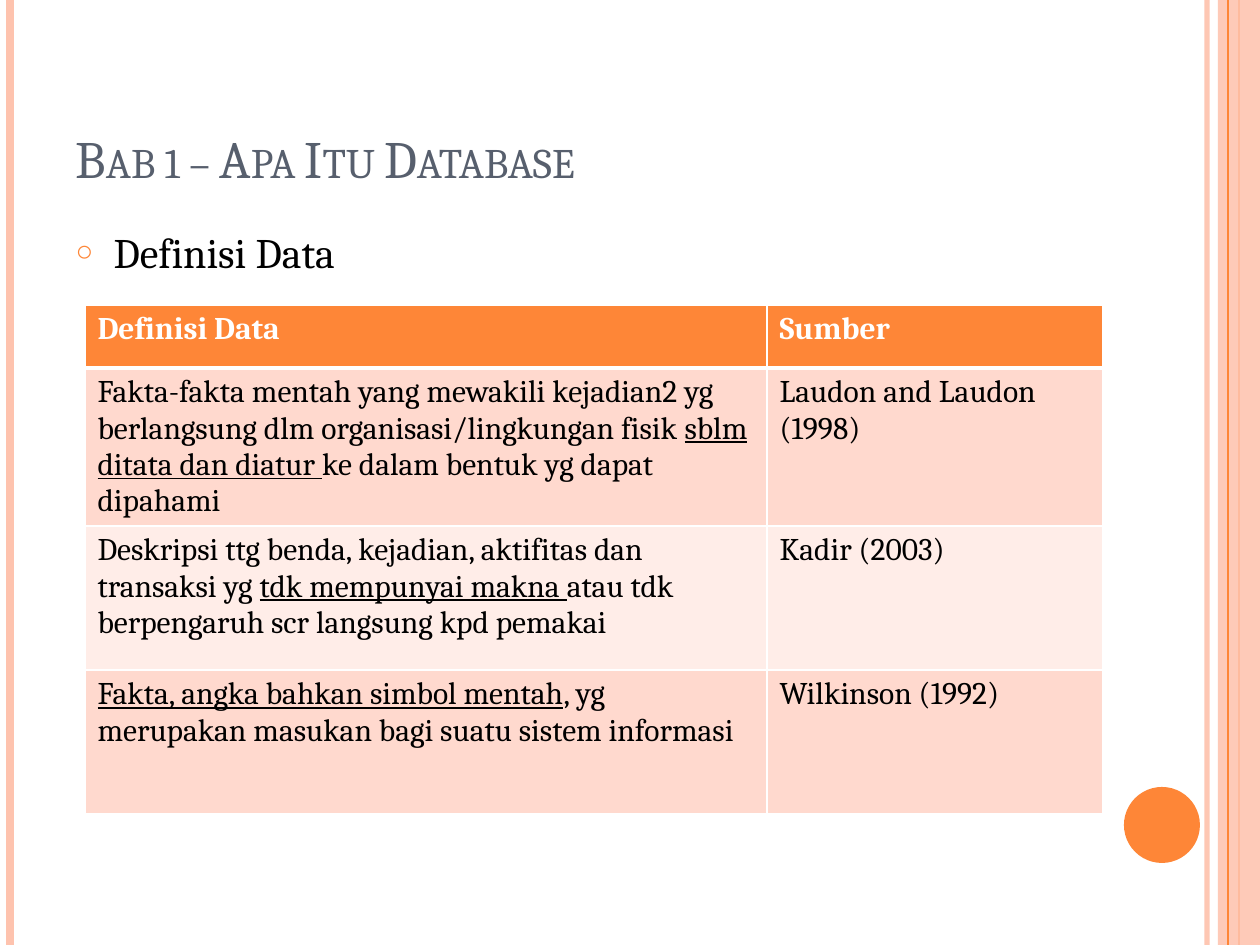
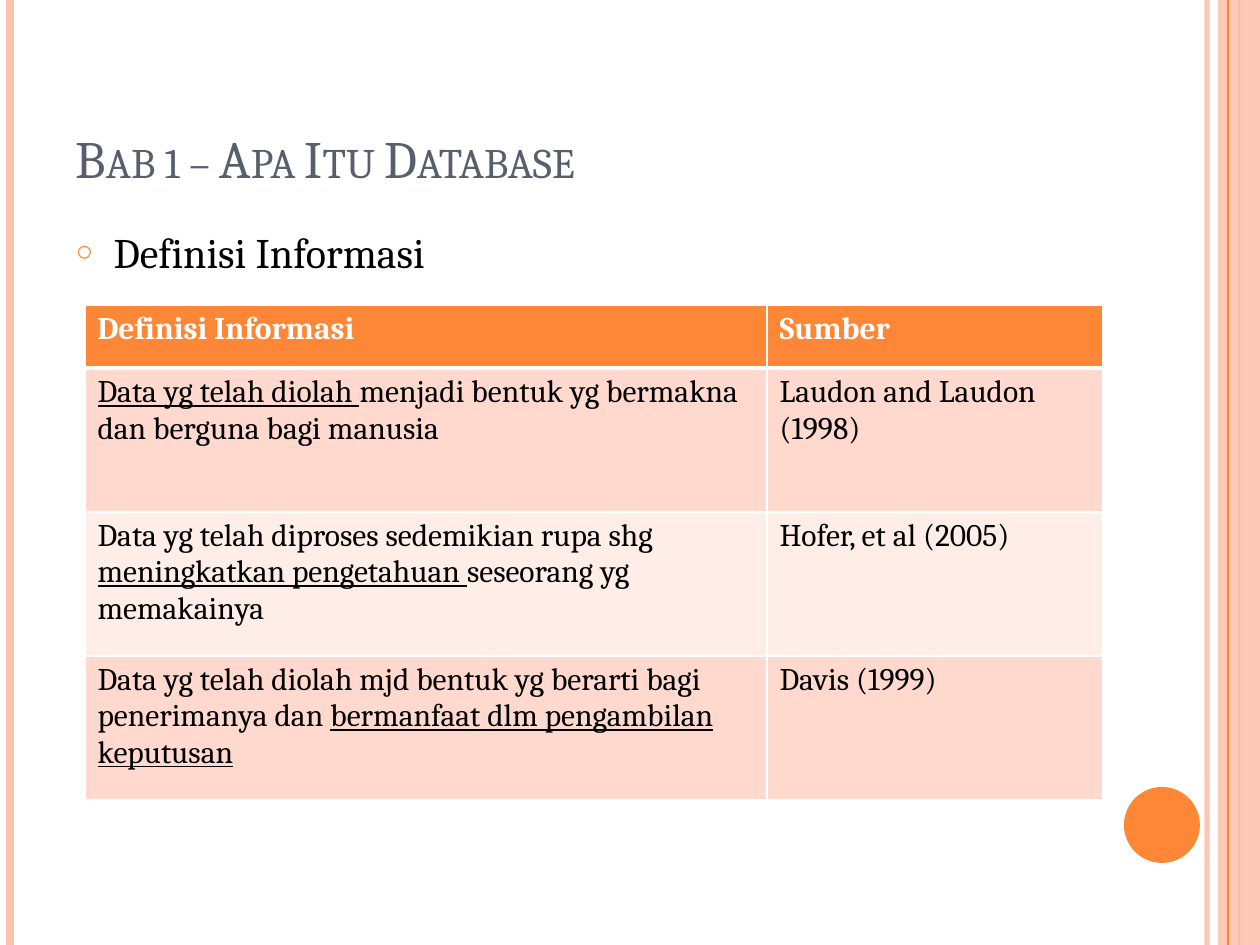
"""Build two slides that define data and information, each with a table of sources."""
from dataclasses import dataclass

from lxml import etree
from pptx import Presentation
from pptx import util as u
from pptx.dml.color import RGBColor
from pptx.enum import shapes, text
from pptx.oxml.ns import qn

SCALE = u.Inches(1) / 126
WIDTH, HEIGHT = 1260, 945
FONT = "Cambria"
TITLE = "Bab 1 – Apa Itu Database"
COLORS = {
    "orange": "FE8637",
    "peach": "FEC3AE",
    "slate": "575F6D",
    "black": "000000",
    "white": "FFFFFF",
    "band_dark": "FFD9CE",
    "band_light": "FFEDE8",
}
TABLE_LEFT, TABLE_TOP = 85, 305
COL_WIDTHS = (682, 336)
ROW_HEIGHTS = (63, 144, 144, 144)


@dataclass(frozen=True)
class Stripe:
    x: int
    weight: float
    color: str
    alpha: int = 100


@dataclass(frozen=True)
class Panel:
    kind: shapes.MSO_SHAPE
    box: tuple[int, int, int, int]
    color: str
    alpha: int = 100


@dataclass(frozen=True)
class Definition:
    meaning: str
    source: str


@dataclass(frozen=True)
class Topic:
    heading: str
    definitions: tuple[Definition, ...]


DECOR = (
    Stripe(1207, 3, "peach", 93),
    Stripe(10, 4.5, "peach"),
    Stripe(1239, 1.5, "orange"),
    Panel(shapes.MSO_SHAPE.RECTANGLE, (1218, 0, 42, HEIGHT), "peach", 87),
    Stripe(1228, 0.75, "orange"),
    Panel(shapes.MSO_SHAPE.OVAL, (1124, 787, 76, 76), "orange"),
)

TOPICS = (
    Topic("Definisi Data", (
        Definition("Fakta-fakta mentah yang mewakili kejadian2 yg berlangsung dlm "
                   "organisasi/lingkungan fisik _sblm ditata dan diatur _"
                   "ke dalam bentuk yg dapat dipahami", "Laudon and Laudon (1998)"),
        Definition("Deskripsi ttg benda, kejadian, aktifitas dan transaksi yg "
                   "_tdk mempunyai makna _atau tdk berpengaruh scr langsung kpd pemakai",
                   "Kadir (2003)"),
        Definition("_Fakta, angka bahkan simbol mentah_, yg merupakan masukan bagi "
                   "suatu sistem informasi", "Wilkinson (1992)"),
    )),
    Topic("Definisi Informasi", (
        Definition("_Data yg telah diolah _menjadi bentuk yg bermakna dan berguna "
                   "bagi manusia", "Laudon and Laudon (1998)"),
        Definition("Data yg telah diproses sedemikian rupa shg _meningkatkan "
                   "pengetahuan _seseorang yg memakainya", "Hofer, et al (2005)"),
        Definition("Data yg telah diolah mjd bentuk yg berarti bagi penerimanya dan "
                   "_bermanfaat dlm pengambilan keputusan_", "Davis (1999)"),
    )),
)


def px(n: int) -> u.Emu:
    return u.Emu(round(n * SCALE))


def rgb(name: str) -> RGBColor:
    return RGBColor.from_string(COLORS[name])


def add_text(p, words: str, size: float, color: str = "black",
             bold: bool = False, small_caps: bool = False) -> None:
    for i, part in enumerate(words.split("_")):
        if not part:
            continue
        r = p.add_run()
        r.text = part
        f = r.font
        f.name, f.size, f.bold = FONT, u.Pt(size), bold
        f.underline = i % 2 == 1
        f.color.rgb = rgb(color)
        if small_caps:
            r._r.get_or_add_rPr().set("cap", "small")


def set_alpha(sp_pr, alpha: int) -> None:
    if alpha < 100:
        clr = next(sp_pr.iter(qn("a:srgbClr")))
        etree.SubElement(clr, qn("a:alpha"), val=str(alpha * 1000))


def add_stripe(s, stripe: Stripe) -> None:
    x = px(stripe.x)
    c = s.shapes.add_connector(shapes.MSO_CONNECTOR.STRAIGHT, x, 0, x, px(HEIGHT))
    c.line.width = u.Pt(stripe.weight)
    c.line.color.rgb = rgb(stripe.color)
    sp_pr = c._element.spPr
    set_alpha(sp_pr, stripe.alpha)
    etree.SubElement(sp_pr, qn("a:effectLst"))


def add_panel(s, panel: Panel) -> None:
    sp = s.shapes.add_shape(panel.kind, *map(px, panel.box))
    sp.shadow.inherit = False
    sp.fill.solid()
    sp.fill.fore_color.rgb = rgb(panel.color)
    sp.line.fill.background()
    set_alpha(sp._element.spPr, panel.alpha)


def place(sp, box: tuple[int, int, int, int], anchor: text.MSO_ANCHOR):
    sp.left, sp.top, sp.width, sp.height = map(px, box)
    tf = sp.text_frame
    tf.word_wrap = True
    tf.auto_size = text.MSO_AUTO_SIZE.NONE
    tf.vertical_anchor = anchor
    p = tf.paragraphs[0]
    p.alignment = text.PP_ALIGN.LEFT
    p.space_before = u.Pt(0)
    return p


def add_bullet(p, indent: int) -> None:
    p_pr = p._p.get_or_add_pPr()
    p_pr.set("marL", str(px(indent)))
    p_pr.set("indent", str(-px(indent)))
    clr = etree.SubElement(p_pr, qn("a:buClr"))
    etree.SubElement(clr, qn("a:srgbClr"), val=COLORS["orange"])
    etree.SubElement(p_pr, qn("a:buSzPct"), val="70000")
    etree.SubElement(p_pr, qn("a:buChar"), char="○")


def set_borders(cell, top: int, bottom: int) -> None:
    tc_pr = cell._tc.get_or_add_tcPr()
    weights = {"L": 1, "R": 1, "T": top, "B": bottom}
    for i, (side, weight) in enumerate(weights.items()):
        ln = etree.Element(qn(f"a:ln{side}"), w=str(u.Pt(weight)))
        fill = etree.SubElement(ln, qn("a:solidFill"))
        etree.SubElement(fill, qn("a:srgbClr"), val=COLORS["white"])
        tc_pr.insert(i, ln)


def add_definitions(s, topic: Topic) -> None:
    rows = [(topic.heading, "Sumber")]
    rows += [(d.meaning, d.source) for d in topic.definitions]
    tbl = s.shapes.add_table(len(rows), len(COL_WIDTHS), px(TABLE_LEFT), px(TABLE_TOP),
                             px(sum(COL_WIDTHS)), px(sum(ROW_HEIGHTS))).table
    tbl.horz_banding = False
    for col, width in zip(tbl.columns, COL_WIDTHS):
        col.width = px(width)
    for i, (row, words) in enumerate(zip(tbl.rows, rows)):
        row.height = px(ROW_HEIGHTS[i])
        header = i == 0
        band = "orange" if header else "band_dark" if i % 2 else "band_light"
        for cell, content in zip(row.cells, words):
            cell.fill.solid()
            cell.fill.fore_color.rgb = rgb(band)
            set_borders(cell, top=3 if i == 1 else 1, bottom=3 if header else 1)
            add_text(cell.text_frame.paragraphs[0], content, 18,
                     color="white" if header else "black", bold=header)


def add_topic(prs, topic: Topic) -> None:
    s = prs.slides.add_slide(prs.slide_layouts[1])
    for item in DECOR:
        if isinstance(item, Stripe):
            add_stripe(s, item)
        else:
            add_panel(s, item)
    p = place(s.shapes.title, (63, 38, 1029, 157), text.MSO_ANCHOR.BOTTOM)
    add_text(p, TITLE, 30, color="slate", small_caps=True)
    p = place(s.placeholders[1], (63, 220, 1029, 672), text.MSO_ANCHOR.TOP)
    add_bullet(p, 38)
    add_text(p, topic.heading, 24)
    add_definitions(s, topic)


def main() -> None:
    prs = Presentation()
    prs.slide_width, prs.slide_height = px(WIDTH), px(HEIGHT)
    for topic in TOPICS:
        add_topic(prs, topic)
    prs.save("out.pptx")


if __name__ == "__main__":
    main()
